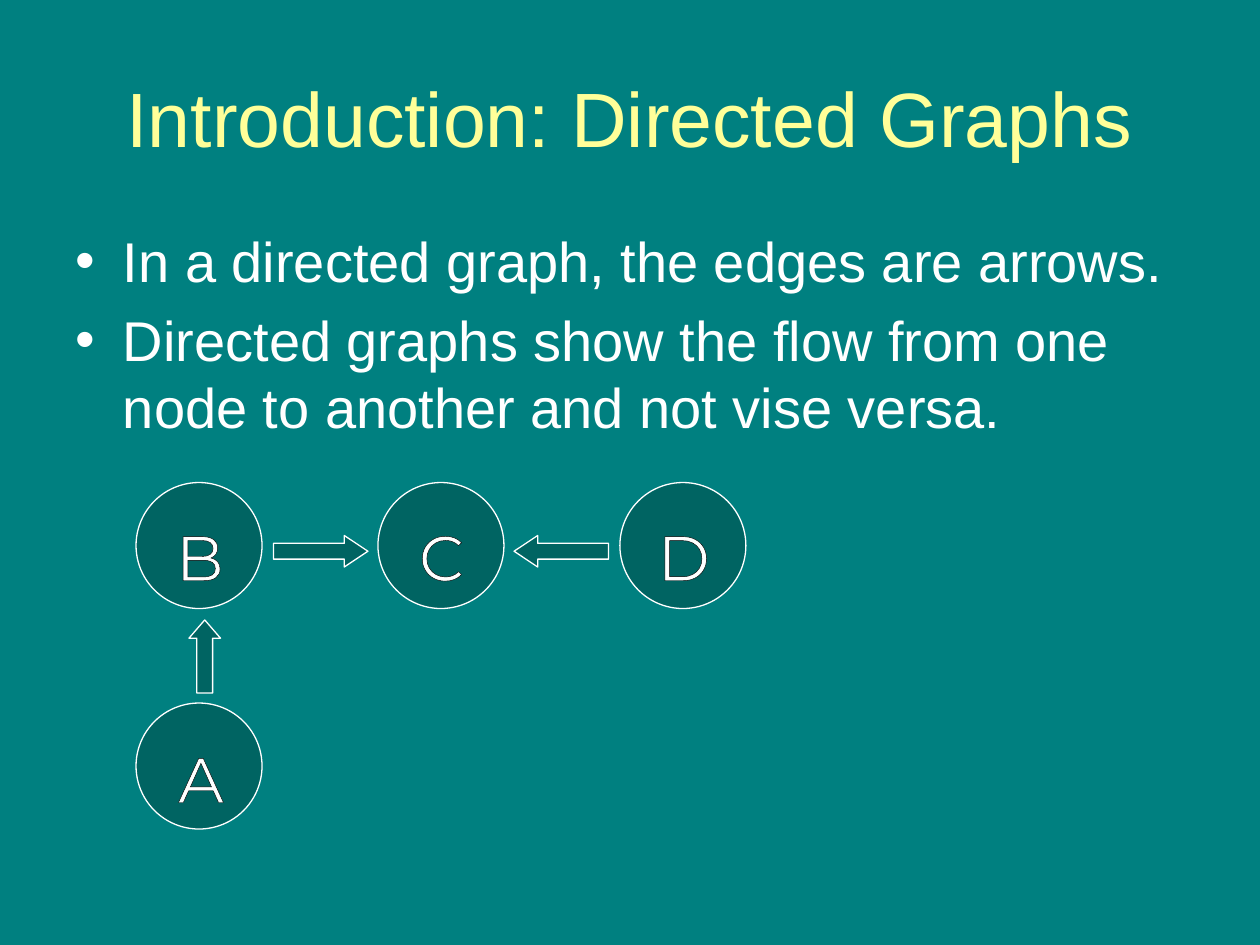
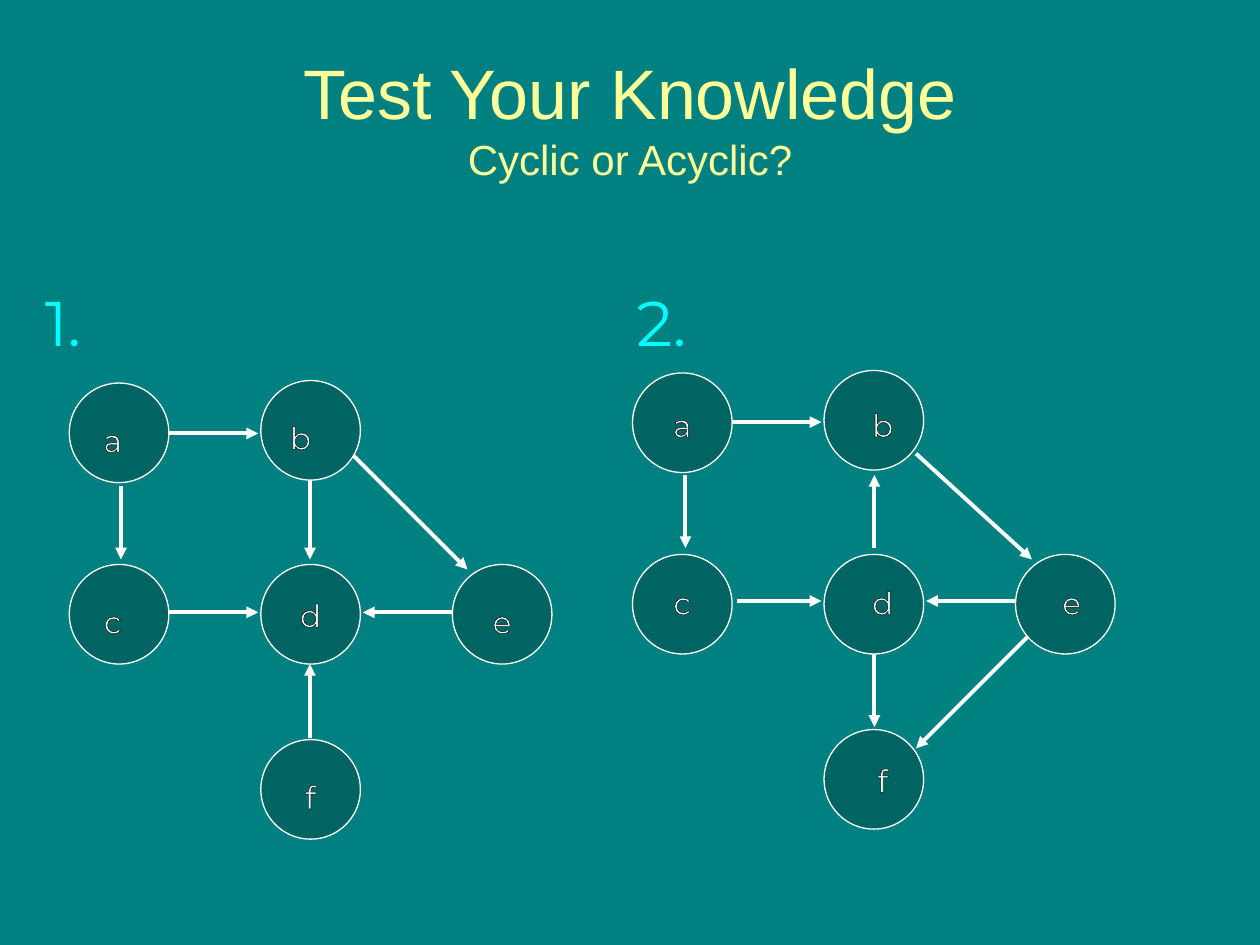
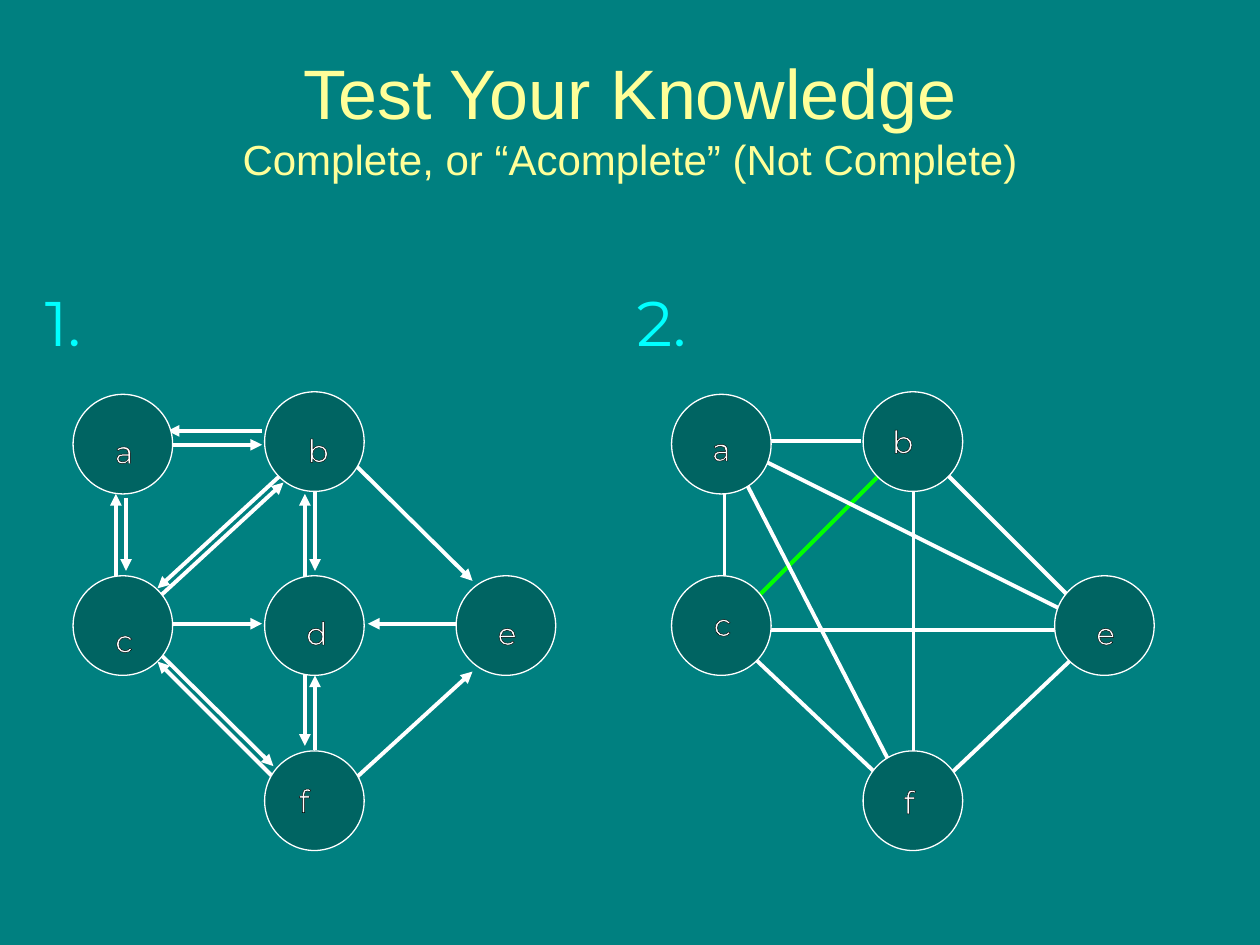
from pptx import Presentation
from pptx.dml.color import RGBColor
from pptx.enum.shapes import MSO_CONNECTOR, MSO_SHAPE
from pptx.enum.text import MSO_ANCHOR, PP_ALIGN
from pptx.oxml.ns import qn
from pptx.util import Inches, Pt
from lxml.etree import SubElement

# Shared look
HUE = {"back": "008080", "title": "FFFF99", "text": "FFFFFF", "node": "006462",
       "mark": "00FFFF", "edge": "FFFFFF", "hot": "00FF00", "rim": "000000"}
RGB = {name: RGBColor.from_string(code) for name, code in HUE.items()}
HEAD = {"name": "Arial", "size": Pt(40)}
LIST = {"name": "Arial", "size": Pt(32)}
BIG = {"name": "Montserrat", "size": Pt(36)}
SMALL = {"name": "Montserrat", "size": Pt(18)}


def style(run, form, hue):
    for key, value in form.items():
        setattr(run.font, key, value)
    run.font.color.rgb = RGB[hue]


def label(slide, word, box, form, hue="text"):
    frame = slide.shapes.add_textbox(*map(Inches, box)).text_frame
    frame.word_wrap = False
    # The boxes are as narrow as their letters, so no side margins
    frame.margin_left = frame.margin_right = 0
    para = frame.paragraphs[0]
    para.alignment = PP_ALIGN.CENTER
    run = para.add_run()
    run.text = word
    style(run, form, hue)
    # Thin dark rim around the letters
    rim = run._r.get_or_add_rPr()
    line = rim.makeelement(qn("a:ln"), {"w": str(Pt(0.75))})
    fill = SubElement(line, qn("a:solidFill"))
    SubElement(fill, qn("a:srgbClr"), val=HUE["rim"])
    rim.insert(0, line)


prs = Presentation()
prs.slide_width, prs.slide_height = Inches(10), Inches(7.5)
back = prs.slide_master.background.fill
back.solid()
back.fore_color.rgb = RGB["back"]

# Slides with their titles: layout, title, second line, title size
heads = [
    (1, "Introduction: Directed Graphs", None, 44),
    (5, "Test Your Knowledge", "Cyclic or Acyclic?", 40),
    (5, "Test Your Knowledge", "Complete, or “Acomplete” (Not Complete)", 40),
]
slides = []
for layout, main, sub, size in heads:
    slide = prs.slides.add_slide(prs.slide_layouts[layout])
    slides.append(slide)
    title = slide.shapes.title
    title.left, title.top, title.width, title.height = map(Inches, (0.5, 0.3, 9, 1.25))
    title.text_frame.vertical_anchor = MSO_ANCHOR.MIDDLE
    para = title.text_frame.paragraphs[0]
    para.alignment = PP_ALIGN.CENTER
    run = para.add_run()
    run.text = main
    style(run, {**HEAD, "size": Pt(size)}, "title")
    if sub:
        para.add_line_break()
        run = para.add_run()
        run.text = sub
        style(run, {**HEAD, "size": Pt(24)}, "title")
intro, cycle, full = slides

# Intro: bullet list
body = intro.placeholders[1]
body.left, body.top, body.width, body.height = map(Inches, (0.5, 1.75, 9, 4.95))
body.text_frame.text = ("In a directed graph, the edges are arrows.\n"
                        "Directed graphs show the flow from one node to another and not vise versa.")
for para in body.text_frame.paragraphs:
    style(para.runs[0], LIST, "text")

# Intro: nodes and block arrows
solids = [(intro, MSO_SHAPE.OVAL, (x, y, 1, 1), None)
          for x, y in [(1.08, 3.83), (3, 3.83), (1.08, 5.58), (4.92, 3.83)]]
solids += [(intro, MSO_SHAPE.RIGHT_ARROW, (2.17, 4.25, 0.75, 0.25), 0.75),
           (intro, MSO_SHAPE.LEFT_ARROW, (4.08, 4.25, 0.75, 0.25), 0.75),
           (intro, MSO_SHAPE.UP_ARROW, (1.5, 4.92, 0.25, 0.58), 0.58)]

# Quiz graphs: node offsets from the graph's corner
GRID = {"a": (0, 0.02), "b": (1.52, 0), "c": (0, 1.46),
        "d": (1.52, 1.46), "e": (3.04, 1.46), "f": (1.52, 2.85)}

# Each graph: slide, corner, letter places, arrowheads, edges (from x, y, to x, y)
graphs = [
    (cycle, (0.55, 3.02),
     {"a": (0.81, 3.29), "b": (2.3, 3.27), "c": (0.81, 4.73),
      "d": (2.38, 4.68), "e": (3.9, 4.73), "f": (2.38, 6.12)}, True,
     [(0.96, 3.86, 0.96, 4.44), (1.3, 3.44, 2.05, 3.44), (1.3, 4.86, 2.05, 4.86),
      (2.8, 3.61, 3.71, 4.52), (3.8, 4.86, 2.88, 4.86), (2.46, 5.86, 2.46, 5.27),
      (2.46, 3.77, 2.46, 4.44)]),
    (cycle, (5.02, 2.94),
     {"a": (5.33, 3.17), "b": (6.92, 3.17), "c": (5.33, 4.58),
      "d": (6.92, 4.58), "e": (8.42, 4.58), "f": (6.92, 5.99)}, True,
     [(5.44, 3.77, 5.44, 4.35), (5.77, 3.35, 6.52, 3.35), (6.94, 4.35, 6.94, 3.77),
      (8.1, 4.77, 7.35, 4.77), (7.27, 3.6, 8.19, 4.44), (6.94, 5.19, 6.94, 5.77),
      (5.85, 4.77, 6.52, 4.77), (8.19, 5.02, 7.27, 5.94)]),
    (full, (0.58, 3.11),
     {"a": (0.9, 3.38), "b": (2.44, 3.37), "c": (0.9, 4.88),
      "d": (2.43, 4.82), "e": (3.94, 4.82), "f": (2.33, 6.15)}, True,
     [(1, 3.95, 1, 4.53), (1.33, 3.53, 2.08, 3.53), (1.33, 4.95, 2.08, 4.95),
      (2.83, 3.7, 3.75, 4.61), (3.83, 4.95, 2.92, 4.95), (2.5, 5.95, 2.5, 5.36),
      (2.5, 3.86, 2.5, 4.53), (2.25, 3.75, 1.25, 4.67), (1.25, 5.17, 2.17, 6.08),
      (2.83, 6.17, 3.75, 5.33), (2.08, 3.42, 1.33, 3.42), (0.92, 4.58, 0.92, 3.92),
      (1.25, 4.75, 2.25, 3.83), (2.17, 6.17, 1.25, 5.25), (2.42, 5.33, 2.42, 5.92),
      (2.42, 4.58, 2.42, 3.92)]),
    (full, (5.33, 3.11),
     {"a": (5.64, 3.36), "b": (7.08, 3.3), "c": (5.65, 4.75),
      "e": (8.69, 4.82), "f": (7.13, 6.16)}, False,
     [(5.75, 3.92, 5.75, 4.58), (6.08, 3.5, 6.83, 3.5), (5.75, 5, 7.25, 6.42),
      (7.25, 6.42, 8.75, 5), (8.75, 5, 5.75, 5), (5.75, 5, 7.25, 3.5),
      (8.75, 5, 5.75, 3.5), (8.75, 5, 7.25, 3.5), (5.75, 3.5, 7.25, 6.42),
      (7.25, 3.5, 7.25, 6.5)]),
]
HOT = (5.75, 5, 7.25, 3.5)

# Edges go below the nodes
for slide, (left, top), names, heads, edges in graphs:
    for edge in edges:
        link = slide.shapes.add_connector(MSO_CONNECTOR.STRAIGHT, *map(Inches, edge))
        link.line.color.rgb = RGB["hot" if edge == HOT else "edge"]
        link.line.width = Pt(2.25)
        if heads:
            SubElement(link.line._get_or_add_ln(), qn("a:tailEnd"), type="triangle")
        SubElement(link._element.spPr, qn("a:effectLst"))
    for name in names:
        x, y = GRID[name]
        solids.append((slide, MSO_SHAPE.OVAL, (left + x, top + y, 0.79, 0.79), None))

# Nodes and block arrows
for slide, kind, box, tip in solids:
    solid = slide.shapes.add_shape(kind, *map(Inches, box))
    solid.shadow.inherit = False
    solid.fill.solid()
    solid.fill.fore_color.rgb = RGB["node"]
    solid.line.color.rgb = RGB["edge"]
    solid.line.width = Pt(0.75)
    if tip:
        solid.adjustments[0], solid.adjustments[1] = 0.5, tip

# Letters and graph numbers
for word, x, y in [("B", 1.39, 4.06), ("A", 1.4, 5.82), ("C", 3.31, 4.06), ("D", 5.22, 4.06)]:
    label(intro, word, (x, y, 0.39, 0.52), BIG)
for slide, corner, names, heads, edges in graphs:
    for name, (x, y) in names.items():
        label(slide, name, (x, y, 0.17, 0.26), SMALL)
for slide in (cycle, full):
    for word, x in [("1.", 0.25), ("2.", 5)]:
        label(slide, word, (x, 2.2, 0.5, 0.71), BIG, "mark")

prs.save("out.pptx")
